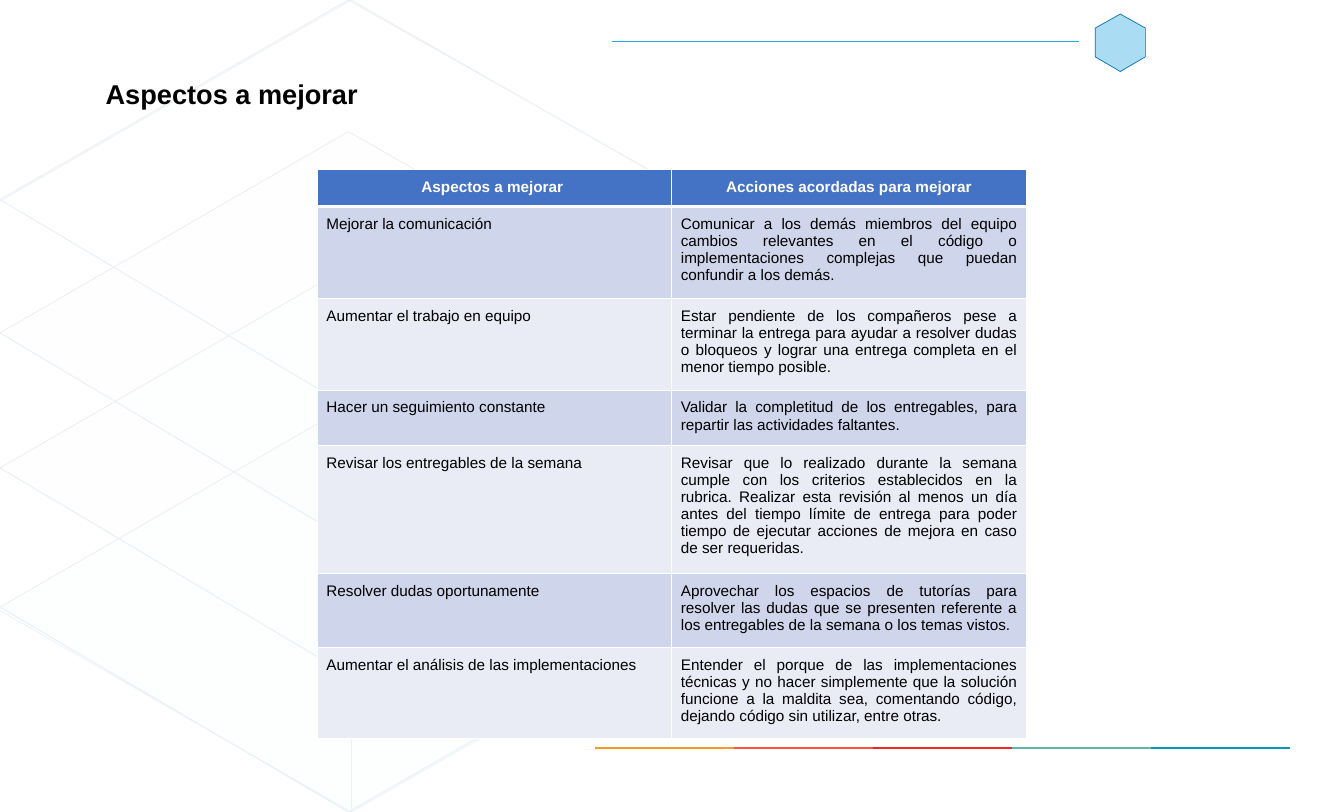
from dataclasses import dataclass
from typing import Optional

from pptx import Presentation
from pptx.dml.color import RGBColor
from pptx.enum.shapes import MSO_CONNECTOR as Connector, MSO_SHAPE as Preset
from pptx.enum.text import PP_ALIGN as Align
from pptx.oxml.ns import qn
from pptx.oxml.xmlchemy import OxmlElement as new_element
from pptx.util import Pt

WIDTH, HEIGHT = 1583.28, 956.16
FONT = "Arial"
SKY, BLUE, NAVY = "2BAAE1", "0870B7", "28285B"
WHITE, BLACK = "FFFFFF", "000000"
HAIRLINE, RULE = 0.86, 1.71
Point = tuple[float, float]


@dataclass
class Layer:
    top: float
    tint: int  # fill opacity in percent


@dataclass
class Improvement:
    aspect: str
    action: str
    lines: int


LAYERS = [Layer(478, 6), Layer(314, 4), Layer(155, 2), Layer(-2, 0)]
FOOTER_COLORS = ["F09C29", "FF5136", "EA2828", "5DB7AB", "009ABA"]
ROWS = [
    Improvement("Aspectos a mejorar ", "Acciones acordadas para mejorar", 1),
    Improvement(
        "Mejorar la comunicación",
        "Comunicar a los demás miembros del equipo cambios relevantes en el código o "
        "implementaciones complejas que puedan confundir a los demás.", 4),
    Improvement(
        "Aumentar el trabajo en equipo",
        "Estar pendiente de los compañeros pese a terminar la entrega para ayudar a resolver "
        "dudas o bloqueos y lograr una entrega completa en el menor tiempo posible.", 4),
    Improvement(
        "Hacer un seguimiento constante",
        "Validar la completitud de los entregables, para repartir las actividades faltantes.", 2),
    Improvement(
        "Revisar los entregables de la semana",
        "Revisar que lo realizado durante la semana cumple con los criterios establecidos en la "
        "rubrica. Realizar esta revisión al menos un día antes del tiempo límite de entrega para "
        "poder tiempo de ejecutar acciones de mejora en caso de ser requeridas.", 6),
    Improvement(
        "Resolver dudas oportunamente",
        "Aprovechar los espacios de tutorías para resolver las dudas que se presenten referente "
        "a los entregables de la semana o los temas vistos.", 3),
    Improvement(
        "Aumentar el análisis de las implementaciones",
        "Entender el porque de las implementaciones técnicas y no hacer simplemente que la "
        "solución funcione a la maldita sea, comentando código, dejando código sin utilizar, "
        "entre otras.", 4),
]


def color(value: str) -> RGBColor:
    return RGBColor.from_string(value)


def paint(shape, fill: Optional[str], opacity: int = 100, line: Optional[str] = None) -> None:
    shape.shadow.inherit = False
    if fill and opacity:
        shape.fill.solid()
        shape.fill.fore_color.rgb = color(fill)
        alpha = new_element("a:alpha")
        alpha.set("val", str(opacity * 1000))
        shape.element.spPr.find(qn("a:solidFill"))[0].append(alpha)
    else:
        shape.fill.background()
    if line:
        shape.line.color.rgb = color(line)
        shape.line.width = Pt(HAIRLINE)
    else:
        shape.line.fill.background()


def add_outline(page, points: list[Point], line: str, close: bool = False,
                fill: Optional[str] = None, opacity: int = 100) -> None:
    corners = [(Pt(x), Pt(y)) for x, y in points]
    builder = page.shapes.build_freeform(*corners[0], scale=1.0)
    builder.add_line_segments(corners[1:], close=close)
    paint(builder.convert_to_shape(), fill, opacity, line)


def add_line(page, start: Point, end: Point, line: str, width: float) -> None:
    connector = page.shapes.add_connector(
        Connector.STRAIGHT, Pt(start[0]), Pt(start[1]), Pt(end[0]), Pt(end[1]))
    connector.line.color.rgb = color(line)
    connector.line.width = Pt(width)
    connector.element.spPr.append(new_element("a:effectLst"))


def add_text(frame, text: str, size: float, ink: str, bold: bool, align: Align) -> None:
    para = frame.paragraphs[0]
    para.alignment = align
    span = para.add_run()
    span.text = text
    span.font.name = FONT
    span.font.size = Pt(size)
    span.font.bold = bold
    span.font.color.rgb = color(ink)


def add_border(cell, side: str, width: float) -> None:
    edge = new_element(f"a:ln{side}")
    edge.set("w", str(Pt(width)))
    solid = new_element("a:solidFill")
    tone = new_element("a:srgbClr")
    tone.set("val", WHITE)
    solid.append(tone)
    edge.append(solid)
    cell._tc.get_or_add_tcPr().append(edge)


def add_backdrop(page) -> None:
    middle, right = 410.4, 828.72
    for layer in LAYERS:
        top, bottom = max(layer.top, 0), min(layer.top + 481, HEIGHT)
        west, east = (0, layer.top + 237), (right, layer.top + 238)
        diamond = [west, (middle, top), east, (middle, bottom)]
        add_outline(page, diamond, NAVY, True, SKY, layer.tint)
        add_outline(page, [east, (middle, bottom), west], BLUE)
    # Cube silhouette and its front edge
    add_outline(page, [(0, 237), (414, 0), (830, 238), (830, 719), (414, HEIGHT), (0, 719)], BLUE)
    add_line(page, (414, 475), (414, HEIGHT), BLUE, HAIRLINE)
    add_line(page, (688.32, 882.72), (851.76, 882.72), FOOTER_COLORS[0], RULE)
    # White veil that fades the cube
    veil = page.shapes.add_shape(Preset.RECTANGLE, 0, 0, Pt(WIDTH), Pt(HEIGHT))
    paint(veil, WHITE, 91)


def add_rules(page) -> None:
    left, center, right = 1290.24, 1319.76, 1349.28
    badge = [(center, 16.56), (right, 33.12), (right, 66.96),
             (center, 84.24), (left, 66.96), (left, 33.12)]
    add_outline(page, badge, BLUE, True, SKY, 40)
    add_line(page, (720.72, 48.96), (1270.8, 48.96), SKY, HAIRLINE)
    start, step = 700.56, 163.8
    for index, tone in enumerate(FOOTER_COLORS):
        x = start + index * step
        add_line(page, (x, 880.56), (x + step, 880.56), tone, RULE)


def add_improvements(page) -> None:
    inset, line_height, total = 10.8, 20.7, 669.6
    natural = [2 * inset + row.lines * line_height for row in ROWS]
    frame = page.shapes.add_table(len(ROWS), 2, Pt(373.68), Pt(199.44), Pt(835.2), Pt(total))
    table = frame.table
    table.horz_banding = False
    for index, row in enumerate(ROWS):
        header = index == 0
        fill = "4472C4" if header else ("E9EBF5", "CFD5EA")[index % 2]
        table.rows[index].height = Pt(natural[index] * total / sum(natural))
        for column, text in enumerate((row.aspect, row.action)):
            cell = table.cell(index, column)
            cell.margin_left = cell.margin_right = Pt(inset)
            cell.margin_top = cell.margin_bottom = Pt(inset)
            for side in "LRTB":
                thick = (index, side) in ((0, "B"), (1, "T"))
                add_border(cell, side, 3 if thick else 1)
            cell.fill.solid()
            cell.fill.fore_color.rgb = color(fill)
            add_text(cell.text_frame, text, 18, WHITE if header else BLACK, header,
                     Align.CENTER if header else Align.JUSTIFY)


def main() -> None:
    deck = Presentation()
    deck.slide_width, deck.slide_height = Pt(WIDTH), Pt(HEIGHT)
    page = deck.slides.add_slide(deck.slide_layouts[6])
    add_backdrop(page)
    add_rules(page)
    # Title
    box = page.shapes.add_textbox(Pt(117.36), Pt(87.84), Pt(442.8), Pt(46.08))
    box.text_frame.word_wrap = True
    add_text(box.text_frame, "Aspectos a mejorar", 32, BLACK, True, Align.LEFT)
    add_improvements(page)
    deck.save("out.pptx")


if __name__ == "__main__":
    main()
